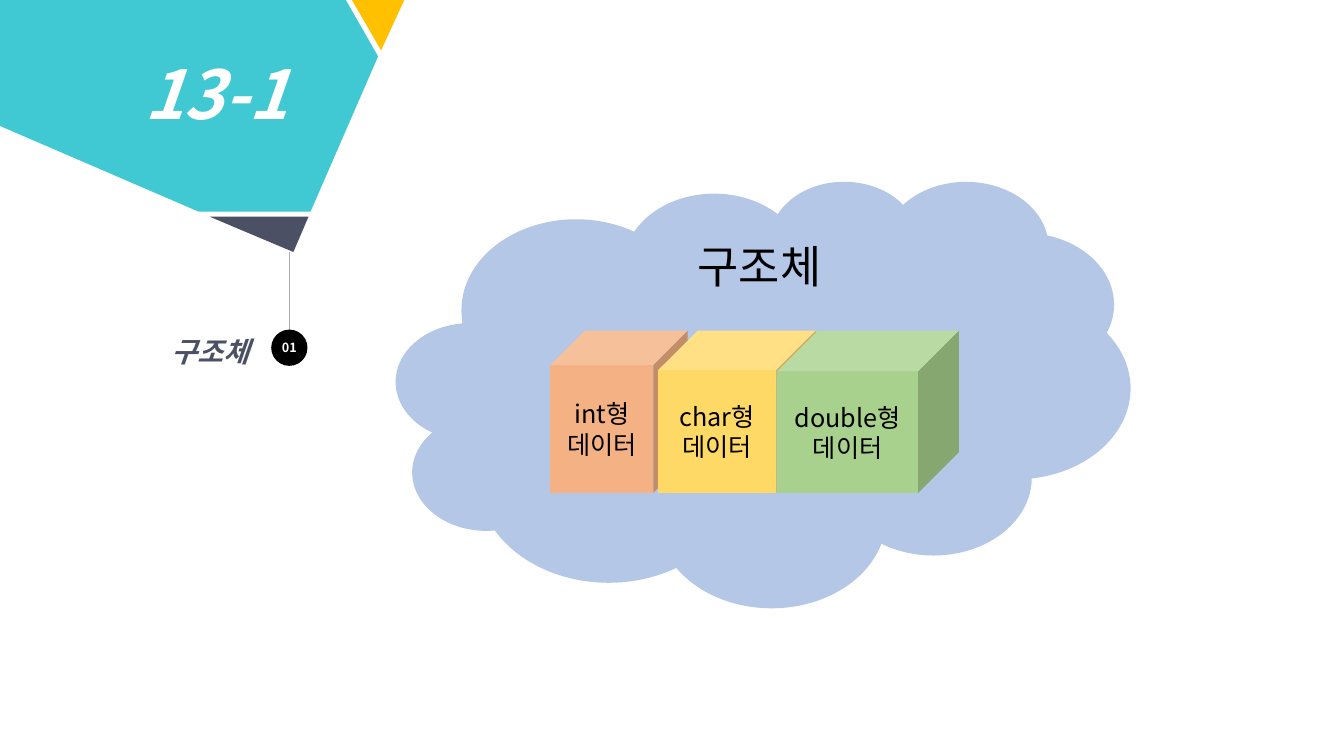
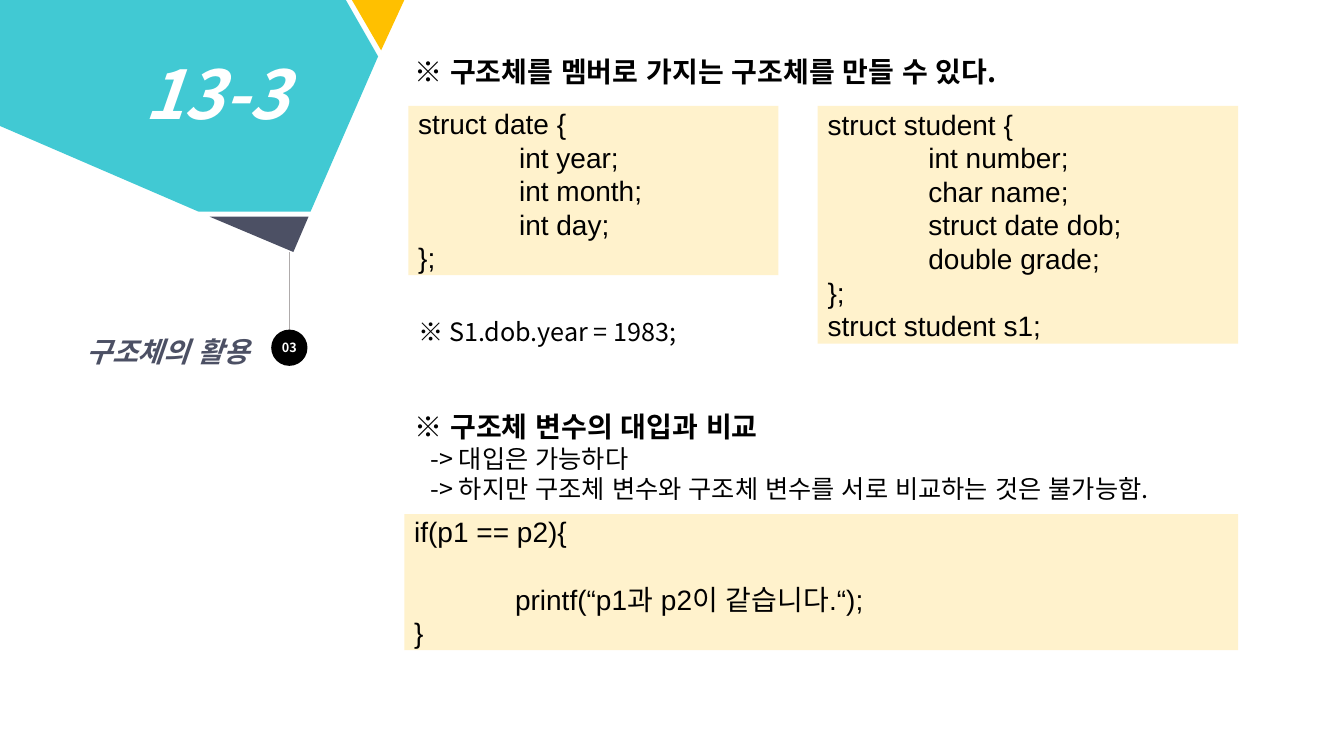
from pptx import Presentation
from pptx.dml.color import RGBColor
from pptx.enum.lang import MSO_LANGUAGE_ID
from pptx.enum.shapes import MSO_CONNECTOR, MSO_SHAPE
from pptx.enum.text import MSO_ANCHOR, MSO_AUTO_SIZE, PP_ALIGN
from pptx.oxml.ns import qn
from pptx.util import Inches, Pt
from lxml.etree import SubElement

# Shared colours and fonts
TEAL, GOLD, SLATE, GREY = "41C9D3", "FFC000", "4C5064", "AFABAB"
BLACK, WHITE, CREAM, SKY = "000000", "FFFFFF", "FFF2CC", "B4C7E7"
SANS, CODE = "Noto Sans CJK KR", "Arial"

# Shared text styles
BASE = dict(name=SANS, color=BLACK, language_id=MSO_LANGUAGE_ID.KOREAN)
TITLE = dict(size=Pt(48), bold=True, italic=True, color=WHITE)
TOPIC = dict(size=Pt(20), bold=True, italic=True, color=SLATE)
BADGE = dict(size=Pt(9), bold=True, color=WHITE)
HEAD = dict(size=Pt(20), bold=True)
PLAIN = dict(size=Pt(18), bold=False)
LARGE = dict(size=Pt(32))
LISTING = dict(size=Pt(20), name=CODE)

FLAT = dict(margin_left=0, margin_right=0, margin_top=0, margin_bottom=0)
SLIM = dict(margin_top=0, margin_bottom=0)


def rgb(color):
    return RGBColor.from_string(color)


def span(box):
    return [Inches(v) for v in box]


def assign(item, values):
    for key, value in values.items():
        setattr(item, key, value)


def write(shape, lines, style, align=PP_ALIGN.LEFT, **frame):
    """Each line is text, or text with indent, space before and style."""
    body = shape.text_frame
    assign(body, dict(word_wrap=True, auto_size=MSO_AUTO_SIZE.NONE) | frame)
    for i, line in enumerate(lines):
        text, indent, before, own = (line, 0, 0, {}) if isinstance(line, str) else line
        para = body.paragraphs[0] if i == 0 else body.add_paragraph()
        assign(para, dict(alignment=align, space_before=Pt(before)))
        props = para._p.get_or_add_pPr()
        props.set("marL", str(Inches(indent)))
        props.set("indent", "0")
        SubElement(props, qn("a:buNone"))
        run = para.add_run()
        run.text = text
        look = BASE | style | own
        run.font.color.rgb = rgb(look.pop("color"))
        assign(run.font, look)
        SubElement(run._r.get_or_add_rPr(), qn("a:ea"), typeface=SANS)


def paint(shape, color):
    shape.shadow.inherit = False
    shape.fill.solid()
    shape.fill.fore_color.rgb = rgb(color)
    shape.line.fill.background()
    return shape


def block(slide, kind, box, color):
    return paint(slide.shapes.add_shape(kind, *span(box)), color)


def label(slide, box, text, style, **frame):
    write(slide.shapes.add_textbox(*span(box)), [text], style, **frame)


def place(slide, holder, box):
    """Move a placeholder to its box, in front of the other parts."""
    assign(holder, dict(zip(("left", "top", "width", "height"), span(box))))
    slide.shapes._spTree.append(holder._element)
    return holder


def facet(slide, box, points, color):
    left, top, *_ = box
    start, *rest = [span((left + x, top + y)) for x, y in points]
    outline = slide.shapes.build_freeform(*start)
    outline.add_line_segments(rest, close=True)
    paint(outline.convert_to_shape(), color)


def banner(slide, box, number, topic, step):
    left, top, *_ = box
    # Stem between the facets and the badge
    x = left + 2.87
    stem = slide.shapes.add_connector(
        MSO_CONNECTOR.STRAIGHT, *span((x, top + 2.5, x, top + 3.63)))
    stem.line.color.rgb = rgb(GREY)
    stem.line.width = Pt(0.5)
    SubElement(stem._element.spPr, qn("a:effectLst"))
    # Corner facets
    for color, points in (
        (GOLD, [(3.49, 0), (4.01, 0), (3.78, 0.5)]),
        (TEAL, [(0, 0), (3.43, 0), (3.75, 0.56), (3.08, 2.1), (1.97, 2.1), (0, 1.25)]),
        (SLATE, [(2.08, 2.15), (3.06, 2.15), (2.91, 2.5)]),
    ):
        facet(slide, box, points, color)
    # Badge, topic and title
    badge = block(slide, MSO_SHAPE.OVAL, (left + 2.69, top + 3.27, 0.36, 0.36), BLACK)
    write(badge, [step], BADGE, PP_ALIGN.CENTER, vertical_anchor=MSO_ANCHOR.MIDDLE, **FLAT)
    label(slide, (left + 0.16, top + 3.27, 2.41, 0.44), topic, TOPIC, align=PP_ALIGN.RIGHT)
    title = place(slide, slide.shapes.title, (left + 1.33, top + 0.47, 1.65, 0.91))
    write(title, [number], TITLE, word_wrap=False, vertical_anchor=MSO_ANCHOR.TOP)


def cloud(slide, box, name, cubes):
    left, top, *_ = box
    block(slide, MSO_SHAPE.CLOUD, box, SKY)
    for x, width, text, color in cubes:
        cube = block(slide, MSO_SHAPE.CUBE, (left + x, top + 1.49, width, 1.61), color)
        write(cube, [text], PLAIN, PP_ALIGN.CENTER, vertical_anchor=MSO_ANCHOR.MIDDLE)
    label(slide, (left + 2.89, top + 0.53, 1.55, 0.64), name, LARGE, word_wrap=False)


def listing(slide, box, lines):
    panel = block(slide, MSO_SHAPE.RECTANGLE, box, CREAM)
    write(panel, lines, LISTING, vertical_anchor=MSO_ANCHOR.MIDDLE, **SLIM)


def inner(text, before=0):
    return text, 1, before, {}


def member(slide, box):
    left, top, *_ = box
    label(slide, (left, top, 6.5, 0.44), "※ 구조체를 멤버로 가지는 구조체를 만들 수 있다.", HEAD)
    listing(slide, (left + 0.04, top + 0.56, 3.67, 1.68), [
        "struct date {",
        *map(inner, ("int year;", "int month;", "int day;")),
        "};"])
    listing(slide, (left + 4.1, top + 0.56, 4.17, 2.36), [
        "struct student {",
        *map(inner, ("int number;", "char name;", "struct date dob;", "double grade;")),
        "};", "struct student s1;"])
    label(slide, (left + 0.04, top + 2.6, 2.78, 0.4), "※ S1.dob.year = 1983;", PLAIN,
          word_wrap=False)


def compare(slide, box):
    left, top, *_ = box
    notes = place(slide, slide.placeholders[1], (left, top, 8.43, 1.04))
    write(notes, [
        "※ 구조체 변수의 대입과 비교",
        ("-> 대입은 가능하다", 0.16, 0, PLAIN),
        ("-> 하지만 구조체 변수와 구조체 변수를 서로 비교하는 것은 불가능함.", 0.16, 0, PLAIN),
    ], HEAD)
    listing(slide, (left, top + 1.09, 8.27, 1.35), [
        "if(p1 == p2){", inner("printf(“p1과 p2이 같습니다.“);", 24), "}"])


deck = Presentation()
deck.slide_width, deck.slide_height = Inches(13.33), Inches(7.5)
side = (0, 0, 4.01, 3.71)

# Slide 1: what a structure is
first = deck.slides.add_slide(deck.slide_layouts[5])
cloud(first, (3.93, 1.79, 7.28, 4.23), "구조체", [
    (1.53, 1.36, "int형 데이터", "F4B183"),
    (2.6, 1.56, "char형 데이터", "FFD966"),
    (3.78, 1.8, "double형 데이터", "A9D18E")])
banner(first, side, "13-1", "구조체", "01")

# Slide 2: using structures
second = deck.slides.add_slide(deck.slide_layouts[1])
banner(second, side, "13-3", "구조체의 활용", "03")
member(second, (4.01, 0.49, 8.27, 3))
compare(second, (4.01, 4.01, 8.43, 2.44))

deck.save("out.pptx")
